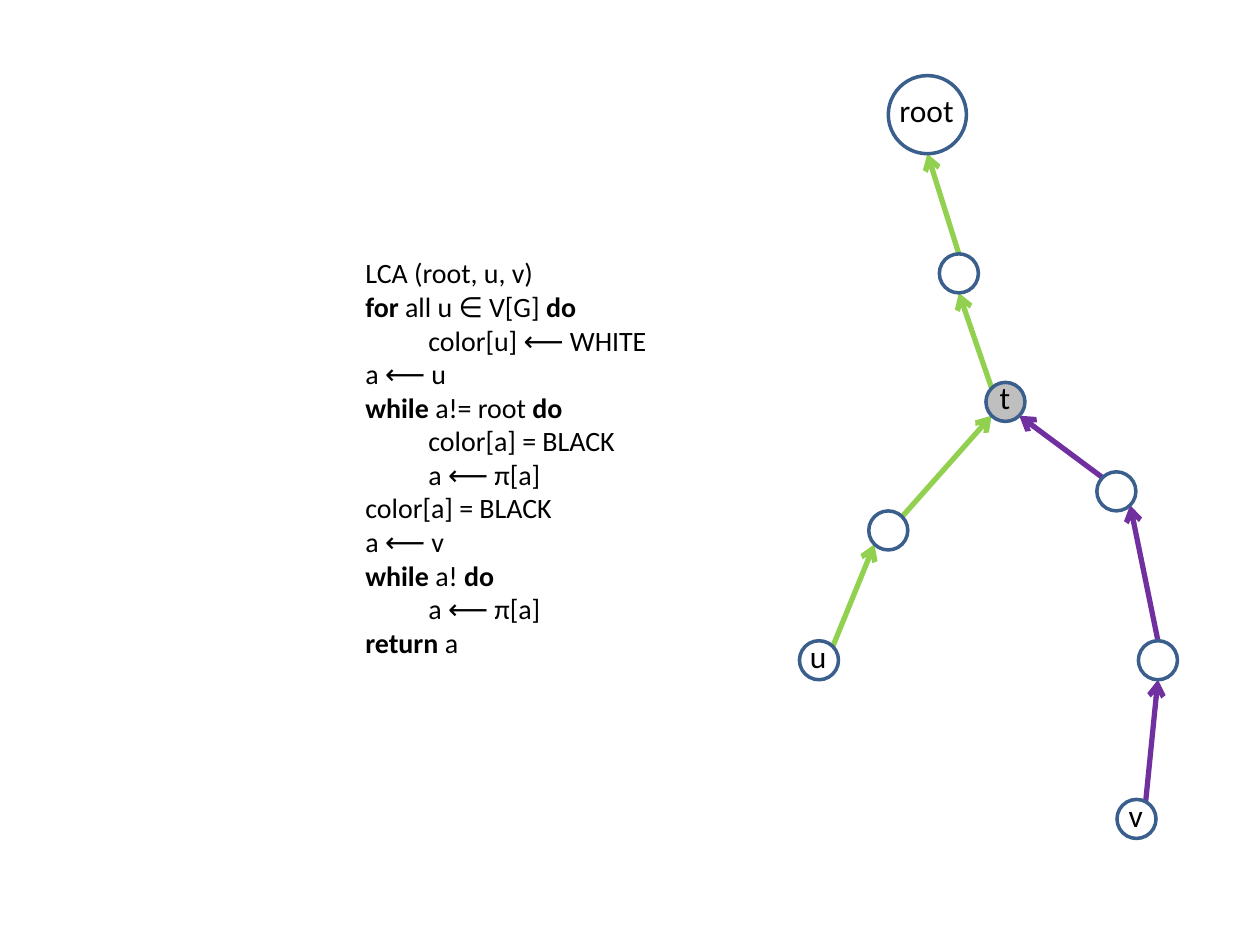
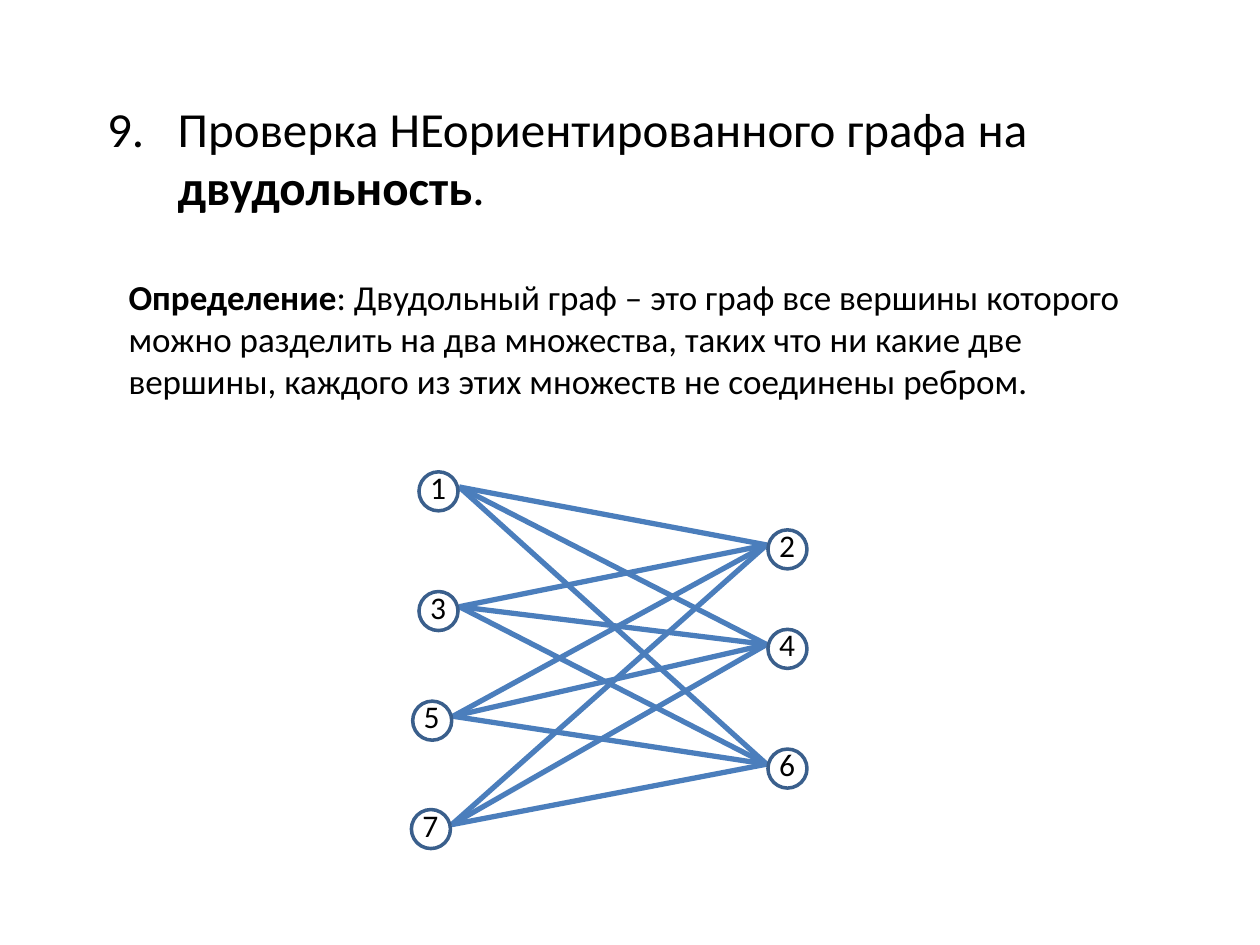
import math

from lxml import etree
from pptx import Presentation
from pptx import util as u
from pptx.dml.color import RGBColor
from pptx.enum import shapes, text
from pptx.oxml.ns import qn

BLACK, WHITE, GREY = "000000", "FFFFFF", "BFBFBF"
OUTLINE, BLUE, GREEN, PURPLE = "3A5F8C", "4B7EBC", "92D050", "7030A0"
FONT = "Calibri"
NODE_RADIUS, ROOT_RADIUS = 0.155, 0.31
LABEL_HEIGHT, LABEL_RISE = 0.4, 0.235

LCA_CODE = [
    "LCA (root, u, v)",
    "*for *all u ∈ V[G] *do*",
    "\tcolor[u] ⟵ WHITE",
    "a ⟵ u",
    "*while* a!= root *do*",
    "\tcolor[a] = BLACK",
    "\ta ⟵ π[a]",
    "color[a] = BLACK",
    "a ⟵ v",
    "*while* a! *do*",
    "\ta ⟵ π[a]",
    "*return* a",
]
HEADING = ["Проверка НЕориентированного графа на *двудольность*."]
DEFINITION = [
    "*Определение*: Двудольный граф – это граф все вершины которого можно "
    "разделить на два множества, таких что ни какие две вершины, каждого "
    "из этих множеств не соединены ребром."
]

TREE_NODES = {
    "root": (1.06, 0.31),
    "upper": (1.31, 1.57),
    "t": (1.68, 2.59),
    "left": (0.75, 3.61),
    "u": (0.2, 4.64),
    "right": (2.56, 3.3),
    "lower": (2.89, 4.64),
    "v": (2.72, 5.9),
}
TREE_LABELS = {"root": 0.64, "t": 0.29, "u": 0.34, "v": 0.32}
TREE_EDGES = [
    ("root", 90, "upper", -90, GREEN),
    ("upper", 90, "t", -135, GREEN),
    ("t", 135, "left", -45, GREEN),
    ("left", 135, "u", -45, GREEN),
    ("t", 45, "right", -135, PURPLE),
    ("right", 45, "lower", -90, PURPLE),
    ("lower", 90, "v", -62, PURPLE),
]

DIGIT_WIDTH = 0.33
ODD_NODES = {"1": (0.28, 0.2), "3": (0.28, 1.15), "5": (0.23, 2.02), "7": (0.22, 2.88)}
EVEN_NODES = {"2": (3.05, 0.66), "4": (3.05, 1.45), "6": (3.05, 2.4)}


def color(value):
    """Return the colour of a hex string."""
    return RGBColor.from_string(value)


def shifted(nodes, box):
    """Return the node centres moved to the corner of the box."""
    return {name: (box[0] + x, box[1] + y) for name, (x, y) in nodes.items()}


def style_paragraph(paragraph, size):
    """Give a paragraph the shared font, left aligned."""
    paragraph.alignment = text.PP_ALIGN.LEFT
    paragraph.font.name = FONT
    paragraph.font.size = u.Pt(size)
    paragraph.font.color.rgb = color(BLACK)


def fill_placeholder(shape, box, lines, size):
    """Place a placeholder, write lines with *bold* parts and return the paragraph."""
    shape.left, shape.top, shape.width, shape.height = map(u.Inches, box)
    frame = shape.text_frame
    frame.word_wrap = True
    frame.auto_size = text.MSO_AUTO_SIZE.NONE
    frame.vertical_anchor = text.MSO_ANCHOR.MIDDLE
    paragraph = frame.paragraphs[0]
    for number, line in enumerate(lines):
        if number:
            paragraph.add_line_break()
        for index, part in enumerate(line.split("*")):
            if part:
                run = paragraph.add_run()
                run.text = part
                run.font.bold = index % 2 == 1
    style_paragraph(paragraph, size)
    return paragraph


def set_bullet(paragraph, tag, indent, **attributes):
    """Set the bullet element and hanging indent of a paragraph."""
    properties = paragraph._p.get_or_add_pPr()
    properties.set("marL", str(u.Inches(indent)))
    properties.set("indent", str(-u.Inches(indent)))
    bullet = etree.Element(qn(tag), attributes)
    properties.insert(0, bullet)
    paragraph.space_before = u.Pt(0)


def add_edge(slide, start, end, line_color, arrow=False):
    """Draw an edge, with an arrowhead at its start if asked."""
    edge = slide.shapes.add_connector(
        shapes.MSO_CONNECTOR.STRAIGHT, *map(u.Inches, (*start, *end))
    )
    edge.line.color.rgb = color(line_color)
    edge.line.width = u.Pt(3)
    if arrow:
        etree.SubElement(edge.line._get_or_add_ln(), qn("a:headEnd"), type="arrow")
    etree.SubElement(edge._element.spPr, qn("a:effectLst"))


def add_node(slide, center, radius=NODE_RADIUS, fill=WHITE):
    """Draw a round node about its centre."""
    x, y = center
    node = slide.shapes.add_shape(
        shapes.MSO_SHAPE.OVAL,
        *map(u.Inches, (x - radius, y - radius, 2 * radius, 2 * radius)),
    )
    node.shadow.inherit = False
    node.fill.solid()
    node.fill.fore_color.rgb = color(fill)
    node.line.color.rgb = color(OUTLINE)
    node.line.width = u.Pt(2)


def add_label(slide, center, name, width):
    """Write a node's name over its centre."""
    x, y = center
    label = slide.shapes.add_textbox(
        *map(u.Inches, (x - width / 2, y - LABEL_RISE, width, LABEL_HEIGHT))
    )
    frame = label.text_frame
    frame.word_wrap = False
    frame.auto_size = text.MSO_AUTO_SIZE.SHAPE_TO_FIT_TEXT
    paragraph = frame.paragraphs[0]
    paragraph.add_run().text = name
    style_paragraph(paragraph, 18)


def tree_radius(name):
    """Return the radius of a tree node."""
    return ROOT_RADIUS if name == "root" else NODE_RADIUS


def rim_point(center, radius, degrees):
    """Return the point on a circle at a clockwise angle from the right."""
    angle = math.radians(degrees)
    return center[0] + radius * math.cos(angle), center[1] + radius * math.sin(angle)


def draw_tree(slide, box):
    """Draw the tree whose arrows lead from u and v to the root."""
    centers = shifted(TREE_NODES, box)
    for parent, parent_angle, child, child_angle, line_color in TREE_EDGES:
        start = rim_point(centers[parent], tree_radius(parent), parent_angle)
        end = rim_point(centers[child], tree_radius(child), child_angle)
        add_edge(slide, start, end, line_color, arrow=True)
    for name, center in centers.items():
        add_node(slide, center, tree_radius(name), GREY if name == "t" else WHITE)
    for name, width in TREE_LABELS.items():
        add_label(slide, centers[name], name, width)


def draw_bipartite_graph(slide, box):
    """Join every odd node to every even node."""
    odd, even = shifted(ODD_NODES, box), shifted(EVEN_NODES, box)
    reach, lift = DIGIT_WIDTH / 2, LABEL_RISE - LABEL_HEIGHT / 2
    for x, y in odd.values():
        for even_x, even_y in even.values():
            add_edge(slide, (x + reach, y - lift), (even_x - reach, even_y - lift), BLUE)
    for name, center in {**odd, **even}.items():
        add_node(slide, center)
        add_label(slide, center, name, DIGIT_WIDTH)


def build_lca_slide(presentation):
    """Build the slide with the LCA pseudocode and its tree."""
    slide = presentation.slides.add_slide(presentation.slide_layouts[5])
    fill_placeholder(slide.shapes.title, (2.8, 0.36, 6.45, 6.54), LCA_CODE, 16)
    draw_tree(slide, (6.3, 0.6))


def build_bipartite_slide(presentation):
    """Build the slide with the definition of a bipartite graph."""
    slide = presentation.slides.add_slide(presentation.slide_layouts[1])
    heading = fill_placeholder(slide.shapes.title, (0.75, 0.44, 8.5, 1.61), HEADING, 28)
    set_bullet(heading, "a:buAutoNum", 0.56, type="arabicPeriod", startAt="9")
    body = slide.placeholders[1]
    definition = fill_placeholder(body, (0.92, 1.86, 8.5, 1.65), DEFINITION, 20)
    set_bullet(definition, "a:buNone", 0)
    draw_bipartite_graph(slide, (3.2, 3.7))


def main():
    """Build and save the presentation."""
    presentation = Presentation()
    presentation.slide_width, presentation.slide_height = u.Inches(10), u.Inches(7.5)
    build_lca_slide(presentation)
    build_bipartite_slide(presentation)
    presentation.save("out.pptx")


main()
